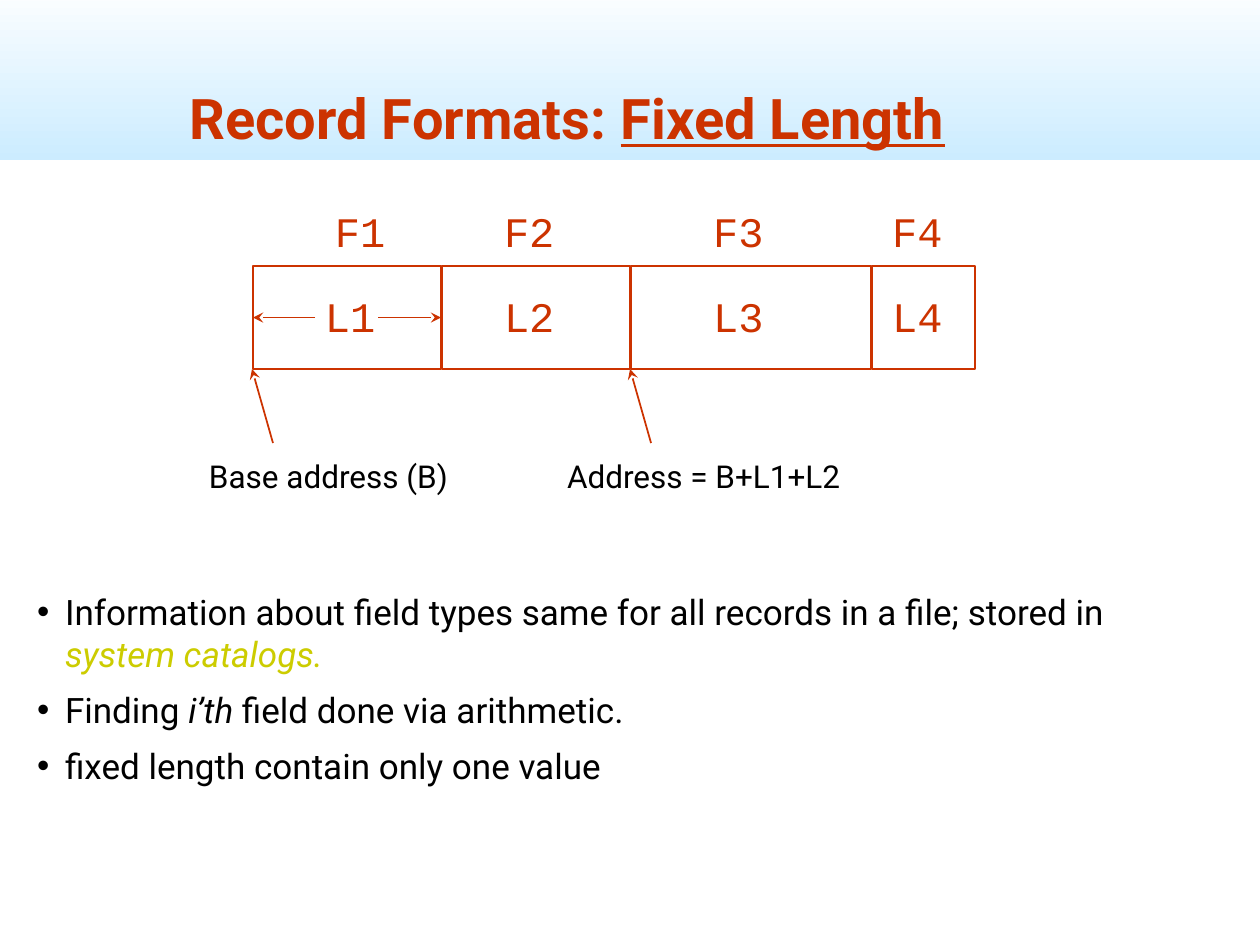
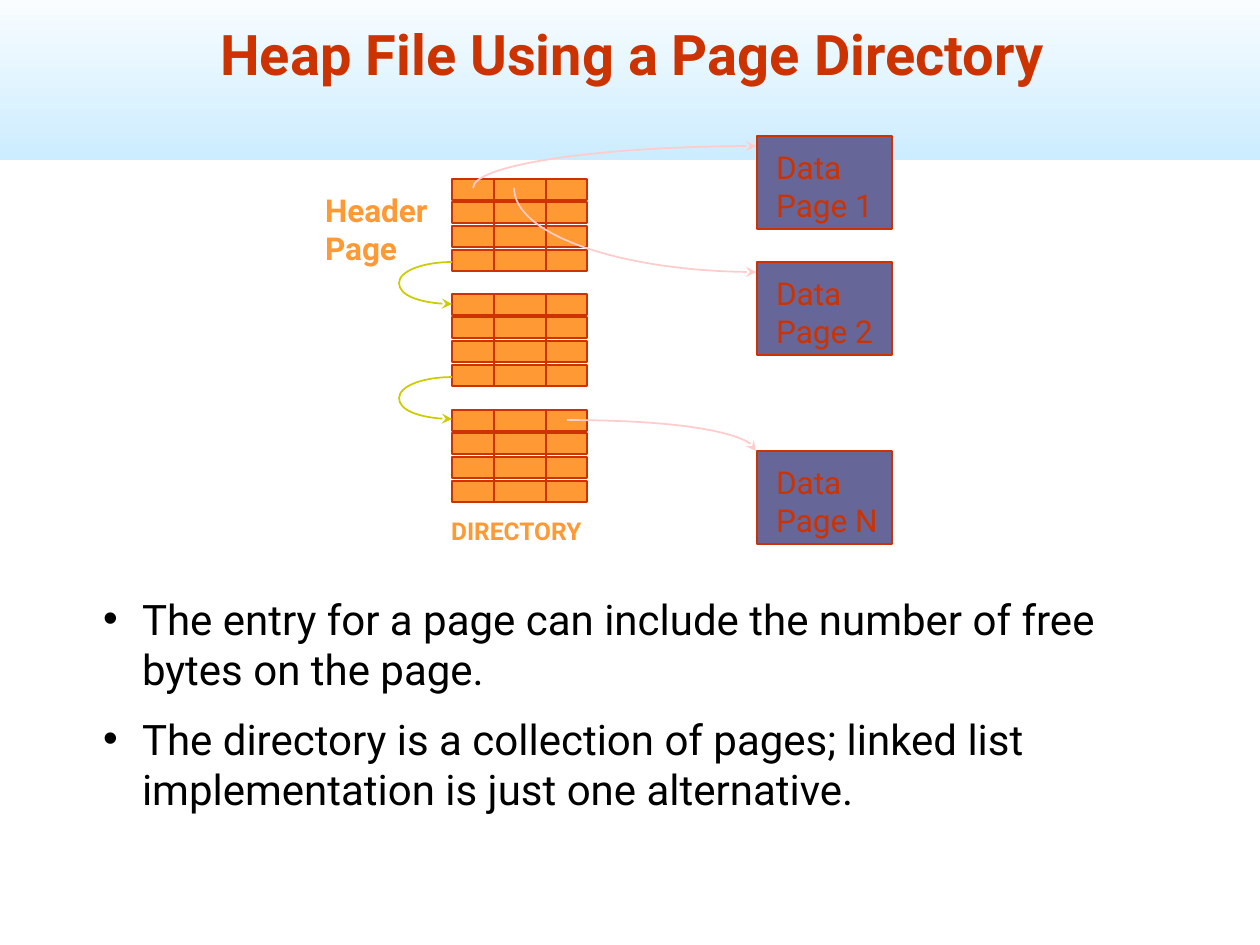
from dataclasses import dataclass

from lxml.etree import SubElement
from pptx import Presentation
from pptx.dml.color import RGBColor
from pptx.enum.shapes import MSO_CONNECTOR, MSO_SHAPE
from pptx.enum.text import MSO_ANCHOR, MSO_AUTO_SIZE, PP_ALIGN
from pptx.oxml.ns import qn
from pptx.util import Inches, Pt

PX = 7258  # EMU in one px, 126 px to the inch
INSET = 6 * PX


@dataclass(frozen=True)
class Theme:
    red: RGBColor = RGBColor.from_string("CC3300")
    orange: RGBColor = RGBColor.from_string("FF9933")
    violet: RGBColor = RGBColor.from_string("666699")
    olive: RGBColor = RGBColor.from_string("CCCC00")
    pink: RGBColor = RGBColor.from_string("FFCCCC")
    sky: RGBColor = RGBColor.from_string("CCECFF")
    white: RGBColor = RGBColor.from_string("FFFFFF")
    black: RGBColor = RGBColor.from_string("000000")
    font: str = "Roboto"
    code_font: str = "Courier New"
    title: Pt = Pt(32)
    record_list: Pt = Pt(20)
    heap_list: Pt = Pt(24)
    field: Pt = Pt(24)
    label: Pt = Pt(18)
    caption: Pt = Pt(14)
    line: Pt = Pt(1)


theme = Theme()


def style_line(shape, colour, arrow=None):
    """Give a shape or connector a thin line without shadow; arrow is "headEnd" or "tailEnd"."""
    shape.line.color.rgb = colour
    shape.line.width = theme.line
    if arrow:
        SubElement(shape.line._get_or_add_ln(), qn(f"a:{arrow}"), type="stealth")
    SubElement(shape._element.spPr, qn("a:effectLst"))


def add_label(page, text, left, top, width, height, size, colour, name=theme.font, bold=False):
    box = page.shapes.add_textbox(left * PX, top * PX, width * PX, height * PX)
    frame = box.text_frame
    frame.text = text
    frame.word_wrap = False
    frame.auto_size = MSO_AUTO_SIZE.SHAPE_TO_FIT_TEXT
    frame.margin_left = frame.margin_right = frame.margin_top = frame.margin_bottom = INSET
    for para in frame.paragraphs:
        para.font.name, para.font.size = name, size
        para.font.color.rgb, para.font.bold = colour, bold


deck = Presentation()
deck.slide_width, deck.slide_height = Inches(10), Inches(7.5)

# Titles and lists: runs are (text, style), where style is "", "u", "i" or "key"
page_texts = [
    {
        "title": [("Record Formats: ", ""), ("Fixed Length", "u")],
        "title_at": (31, 0, 1072, 157),
        "body": [
            [("Information about field types same for all records in a file; stored in ", ""),
             ("system catalogs.", "key")],
            [("Finding ", ""), ("i’th ", "i"), ("field done via arithmetic.", "")],
            [("fixed length contain only one value", "")],
        ],
        "body_at": (31, 584, 1172, 272),
        "size": theme.record_list, "space": 8, "indent": 28,
    },
    {
        "title": [("Heap File Using a Page Directory", "")],
        "title_at": (76, 9, 1113, 84),
        "body": [
            [("The entry for a page can include the number of free bytes on the page.", "")],
            [("The directory is a collection of pages; linked list implementation"
              " is just one alternative.", "")],
        ],
        "body_at": (97, 587, 1071, 270),
        "size": theme.heap_list, "space": 11, "indent": 39,
    },
]

for content in page_texts:
    page = deck.slides.add_slide(deck.slide_layouts[1])
    title, body = page.shapes.title, page.placeholders[1]
    for box, place in ((title, content["title_at"]), (body, content["body_at"])):
        box.left, box.top, box.width, box.height = [length * PX for length in place]
        frame = box.text_frame
        frame.auto_size = MSO_AUTO_SIZE.NONE
        frame.margin_left = frame.margin_right = frame.margin_top = frame.margin_bottom = INSET
    title.text_frame.vertical_anchor = MSO_ANCHOR.BOTTOM
    body.text_frame.vertical_anchor = MSO_ANCHOR.TOP

    para = title.text_frame.paragraphs[0]
    para.alignment = PP_ALIGN.CENTER
    para.font.name, para.font.size, para.font.bold = theme.font, theme.title, True
    para.font.color.rgb = theme.red
    for text, style in content["title"]:
        span = para.add_run()
        span.text = text
        if style == "u":
            span.font.underline = True

    for index, runs in enumerate(content["body"]):
        para = body.text_frame.add_paragraph() if index else body.text_frame.paragraphs[0]
        properties = para._p.get_or_add_pPr()
        properties.set("marL", str(content["indent"] * PX))
        properties.set("indent", str(-content["indent"] * PX))
        para.space_before = Pt(content["space"] if index else 0)
        para.font.name, para.font.size = theme.font, content["size"]
        para.font.color.rgb = theme.black
        for text, style in runs:
            span = para.add_run()
            span.text = text
            if style:
                span.font.italic = True
            if style == "key":
                span.font.color.rgb = theme.olive

record_page, heap_page = deck.slides

# Shared sky band, placed behind everything on the slide master
band = record_page.shapes.add_shape(MSO_SHAPE.RECTANGLE, 0, -21 * PX, deck.slide_width, 181 * PX)
band.shadow.inherit = False
band.line.fill.background()
band.fill.gradient()
band.fill.gradient_angle = 90
for stop, colour in zip(band.fill.gradient_stops, (theme.sky, theme.white)):
    stop.color.rgb = colour
deck.slide_master.shapes._spTree.insert(2, band._element)

# Slide 1: the record with its four fields
record_left, record_top, record_height = 253, 266, 103
field_widths = (188, 188, 240, 103)
name_lefts = (329, 498, 707, 886)
length_lefts = (319, 498, 707, 886)
fields = []
left = record_left
for number, width in enumerate(field_widths, 1):
    field = record_page.shapes.add_shape(
        MSO_SHAPE.RECTANGLE, left * PX, record_top * PX, width * PX, record_height * PX)
    field.fill.background()
    style_line(field, theme.red)
    fields.append(field)
    for letter, lefts, top in (("F", name_lefts, 200), ("L", length_lefts, 284)):
        add_label(record_page, f"{letter}{number}", lefts[number - 1], top, 64, 60,
                  theme.field, theme.red, theme.code_font)
    left += width + 1

middle = record_top + record_height // 2
for start, end, side in ((315, 253, 1), (378, 441, 3)):
    arrow = record_page.shapes.add_connector(
        MSO_CONNECTOR.STRAIGHT, start * PX, middle * PX, end * PX, middle * PX)
    arrow.end_connect(fields[0], side)
    arrow.begin_y = arrow.end_y
    style_line(arrow, theme.red, "tailEnd")

for text, text_left, width, target in (
    ("Base address (B)", 203, 258, 252),
    ("Address = B+L1+L2", 561, 294, 630),
):
    arrow = record_page.shapes.add_connector(
        MSO_CONNECTOR.STRAIGHT, (target + 21) * PX, 443 * PX, target * PX, 369 * PX)
    style_line(arrow, theme.red, "tailEnd")
    add_label(record_page, text, text_left, 451, width, 52, theme.label, theme.black)

# Slide 2: the directory pages, each a block of four rows and three columns
directory_left, directory_tops, block_width = 452, (179, 294, 410), 135
for top in directory_tops:
    block = heap_page.shapes.add_group_shape()
    for row in range(4):
        entry = block.shapes.add_shape(
            MSO_SHAPE.RECTANGLE, directory_left * PX, (top + row * 71 // 3) * PX,
            block_width * PX, 21 * PX)
        entry.fill.solid()
        entry.fill.fore_color.rgb = theme.orange
        style_line(entry, theme.red)
    for divider_left in (494, 546):
        divider = block.shapes.add_connector(
            MSO_CONNECTOR.STRAIGHT, divider_left * PX, (top - 1) * PX,
            divider_left * PX, (top + 93) * PX)
        style_line(divider, theme.red)

for number, top in (("1", 136), ("2", 262), ("N", 451)):
    data_page = heap_page.shapes.add_shape(
        MSO_SHAPE.RECTANGLE, 757 * PX, top * PX, block_width * PX, 93 * PX)
    data_page.fill.solid()
    data_page.fill.fore_color.rgb = theme.violet
    style_line(data_page, theme.red)
    add_label(heap_page, f"Data\nPage {number}", 770, top + 6, 115, 89, theme.label, theme.red)

add_label(heap_page, "Header\nPage", 319, 185, 121, 89, theme.label, theme.orange, bold=True)
add_label(heap_page, "DIRECTORY", 445, 510, 158, 43, theme.caption, theme.orange, bold=True)

# Quarter ellipses: the end with an upright tangent, the end with a level one, arrow, colour
curves = []
for top in directory_tops[:2]:
    turn = (399, top + 104)
    curves.append((turn, (directory_left, top + 83), None, theme.olive))
    curves.append((turn, (directory_left, top + 125), "tailEnd", theme.olive))
curves += [
    ((473, 188), (756, 146), "tailEnd", theme.pink),
    ((514, 188), (756, 272), "tailEnd", theme.pink),
    ((756, 451), (567, 420), "headEnd", theme.pink),
]
bend = 0.55
for (upright_x, upright_y), (level_x, level_y), arrow, colour in curves:
    builder = heap_page.shapes.build_freeform(upright_x, upright_y, scale=PX)
    builder.add_line_segments([(level_x, level_y)], close=False)
    curve = builder.convert_to_shape()
    segment = next(curve._element.iter(qn("a:lnTo")))
    bezier = SubElement(segment.getparent(), qn("a:cubicBezTo"))
    origin_x, origin_y = min(upright_x, level_x), min(upright_y, level_y)
    outline = curve._element.spPr.find(".//" + qn("a:path"))
    unit = int(outline.get("w")) / abs(level_x - upright_x)
    for x, y in (
        (upright_x, upright_y + bend * (level_y - upright_y)),
        (level_x + bend * (upright_x - level_x), level_y),
        (level_x, level_y),
    ):
        SubElement(bezier, qn("a:pt"), x=str(round((x - origin_x) * unit)),
                   y=str(round((y - origin_y) * unit)))
    segment.getparent().replace(segment, bezier)
    # Local units as fine as EMU keep the bend smooth
    for name in ("w", "h"):
        outline.set(name, str(round(int(outline.get(name)) / unit * PX)))
    for point in outline.iter(qn("a:pt")):
        for name in ("x", "y"):
            point.set(name, str(round(int(point.get(name)) / unit * PX)))
    curve.fill.background()
    style_line(curve, colour, arrow)

deck.save("out.pptx")
